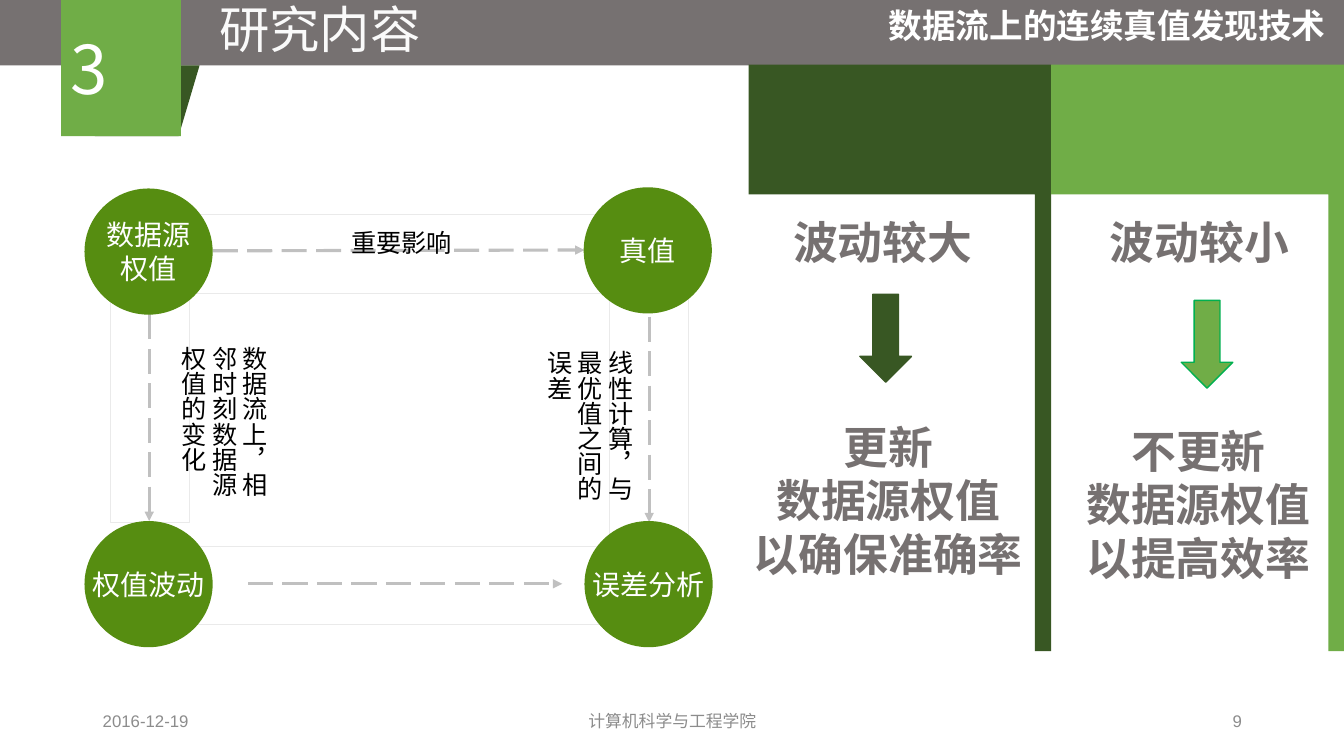
from dataclasses import dataclass

from lxml import etree
from pptx import Presentation
from pptx.dml.color import RGBColor
from pptx.enum.dml import MSO_LINE
from pptx.enum.shapes import MSO_CONNECTOR, MSO_SHAPE
from pptx.enum.text import MSO_ANCHOR, PP_ALIGN
from pptx.oxml.ns import qn
from pptx.util import Cm, Pt


@dataclass(frozen=True)
class Theme:
    gray: str = "767171"
    dark_green: str = "385723"
    green: str = "70AD47"
    arrow_edge: str = "00B050"
    circle: str = "568D11"
    frame: str = "EAEAEA"
    dash: str = "C0C0C0"
    footer: str = "8C8C8C"
    title: str = "FAFAFA"
    white: str = "FFFFFF"
    black: str = "000000"
    cjk: str = "Noto Sans CJK SC"
    latin: str = "Arial"
    node_font: str = "Quicksand"
    number_size: int = 48
    title_size: int = 36
    panel_size: int = 32
    topic_size: int = 24
    node_size: int = 20
    label_size: int = 18
    footer_size: int = 12


theme = Theme()


def paint(shape, fill, line=None, width=0.75):
    """Flat fill, optional outline, no shadow."""
    shape.shadow.inherit = False
    shape.fill.solid()
    shape.fill.fore_color.rgb = RGBColor.from_string(fill)
    if line:
        shape.line.color.rgb = RGBColor.from_string(line)
        shape.line.width = Pt(width)
    else:
        shape.line.fill.background()


def write(shape, lines, size, color, font=theme.cjk, bold=False, wrap=True,
          align=PP_ALIGN.CENTER, anchor=MSO_ANCHOR.TOP, spacing=1.0):
    """One paragraph per line, each with a single formatted run."""
    frame = shape.text_frame
    frame.word_wrap = wrap
    frame.vertical_anchor = anchor
    for index, line in enumerate(lines):
        paragraph = frame.add_paragraph() if index else frame.paragraphs[0]
        paragraph.alignment = align
        paragraph.line_spacing = spacing
        run = paragraph.add_run()
        run.text = line
        run.font.size = Pt(size)
        run.font.bold = bold
        run.font.color.rgb = RGBColor.from_string(color)
        run.font.name = font
        east_asian = etree.SubElement(run.font._element, qn("a:ea"))
        east_asian.set("typeface", theme.cjk)


presentation = Presentation()
presentation.slide_width, presentation.slide_height = Cm(33.87), Cm(19.05)
slide = presentation.slides.add_slide(presentation.slide_layouts[5])
shapes = slide.shapes

# Header bar
header = shapes.add_shape(MSO_SHAPE.RECTANGLE, 0, 0, Cm(33.87), Cm(1.65))
paint(header, theme.gray)

# Title, brought in front of the bar
title = shapes.title
title.left, title.top, title.width, title.height = Cm(3.73), Cm(-0.18), Cm(8.66), Cm(1.8)
write(title, ["研究内容"], theme.title_size, theme.title)
title.element.getparent().append(title.element)

topic = shapes.add_textbox(Cm(21.95), Cm(0), Cm(11.9), Cm(1.27))
write(topic, ["数据流上的连续真值发现技术"], theme.topic_size, theme.white, bold=True)

# Section number with its fold
fold = shapes.add_shape(MSO_SHAPE.FLOWCHART_DATA, Cm(2.39), Cm(1.65), Cm(2.64), Cm(1.78))
paint(fold, theme.dark_green)
number = shapes.add_shape(MSO_SHAPE.RECTANGLE, Cm(1.54), Cm(0), Cm(3.02), Cm(3.43))
paint(number, theme.green)
write(number, ["3"], theme.number_size, theme.white,
      align=PP_ALIGN.LEFT, anchor=MSO_ANCHOR.MIDDLE)

# Two outcome panels: left, right, stem, fill, arrow edge, heading left,
# arrow left and top, result left, top and width, heading, result
panels = [
    (18.87, 26.49, 26.08, theme.dark_green, theme.dark_green, 19.71,
     21.67, 7.42, 18.72, 10.44, 7.34,
     "波动较大", ["更新", "数据源权值", "以确保准确率"]),
    (26.49, 33.87, 33.48, theme.green, theme.arrow_edge, 27.69,
     29.77, 7.57, 26.85, 10.54, 6.71,
     "波动较小", ["不更新", "数据源权值", "以提高效率"]),
]
panel_top, band_bottom, panel_bottom = 1.63, 4.9, 16.41
for (left, right, stem, fill, edge, heading_left, arrow_left, arrow_top,
     result_left, result_top, result_width, heading_text, result_lines) in panels:
    builder = shapes.build_freeform(Cm(left), Cm(panel_top))
    corners = [(right, panel_top), (right, panel_bottom), (stem, panel_bottom),
               (stem, band_bottom), (left, band_bottom)]
    builder.add_line_segments([(Cm(x), Cm(y)) for x, y in corners], close=True)
    paint(builder.convert_to_shape(), fill)

    heading = shapes.add_textbox(Cm(heading_left), Cm(5.28), Cm(5.08), Cm(1.63))
    write(heading, [heading_text], theme.panel_size, theme.gray, bold=True, wrap=False)

    arrow = shapes.add_shape(MSO_SHAPE.DOWN_ARROW, Cm(arrow_left), Cm(arrow_top),
                             Cm(1.3), Cm(2.21))
    paint(arrow, fill, edge, 1)

    result = shapes.add_textbox(Cm(result_left), Cm(result_top), Cm(result_width), Cm(4.37))
    write(result, result_lines, theme.panel_size, theme.gray, bold=True, wrap=False)

# Frames behind the cycle
for left, top, width, height in [(3.56, 13.77, 13.77, 1.98), (4.7, 5.41, 12.62, 1.98),
                                 (2.79, 7.06, 1.98, 6.1), (15.37, 7.49, 1.98, 6.1)]:
    frame_box = shapes.add_shape(MSO_SHAPE.RECTANGLE, Cm(left), Cm(top), Cm(width), Cm(height))
    paint(frame_box, theme.white, theme.frame)

# Dashed arrows
for start_x, start_y, end_x, end_y in [(6.25, 14.71, 14.17, 14.71), (5.36, 6.32, 14.73, 6.3),
                                       (3.76, 7.92, 3.76, 13.13), (16.36, 7.98, 16.36, 13.16)]:
    link = shapes.add_connector(MSO_CONNECTOR.STRAIGHT, Cm(start_x), Cm(start_y),
                                Cm(end_x), Cm(end_y))
    link.line.color.rgb = RGBColor.from_string(theme.dash)
    link.line.width = Pt(2.25)
    link.line.dash_style = MSO_LINE.LONG_DASH
    etree.SubElement(link.line._get_or_add_ln(), qn("a:tailEnd")).set("type", "triangle")
    etree.SubElement(link.element.spPr, qn("a:effectLst"))

# Circles
for left, top, lines in [(2.13, 4.75, ["数据源", "权值"]), (2.13, 13.13, ["权值波动"]),
                         (14.71, 4.72, ["真值"]), (14.73, 13.13, ["误差分析"])]:
    circle = shapes.add_shape(MSO_SHAPE.OVAL, Cm(left), Cm(top), Cm(3.23), Cm(3.18))
    paint(circle, theme.circle)
    write(circle, lines, theme.node_size, theme.white, theme.node_font,
          wrap=False, anchor=MSO_ANCHOR.MIDDLE)

# Arrow labels
influence = shapes.add_textbox(Cm(5.94), Cm(5.31), Cm(8.36), Cm(1.22))
write(influence, ["重要影响"], theme.label_size, theme.black,
      anchor=MSO_ANCHOR.MIDDLE, spacing=1.5)
for left, top, text, font in [
        (4.09, 8.48, "数据流上，相邻时刻数据源权值的变化", theme.latin),
        (13.31, 8.59, "线性计算，与最优值之间的误差", theme.node_font)]:
    label = shapes.add_textbox(Cm(left), Cm(top), Cm(2.82), Cm(4.55))
    label.text_frame._txBody.bodyPr.set("vert", "eaVert")
    write(label, [text], theme.label_size, theme.black, font, align=PP_ALIGN.LEFT)

# Footer
for left, width, text, align in [(2.34, 7.62, "2016-12-19", PP_ALIGN.LEFT),
                                 (11.23, 11.43, "计算机科学与工程学院", PP_ALIGN.CENTER),
                                 (23.93, 7.62, "9", PP_ALIGN.RIGHT)]:
    footer = shapes.add_textbox(Cm(left), Cm(17.65), Cm(width), Cm(1.02))
    write(footer, [text], theme.footer_size, theme.footer, theme.latin,
          align=align, anchor=MSO_ANCHOR.MIDDLE)

presentation.save("out.pptx")
